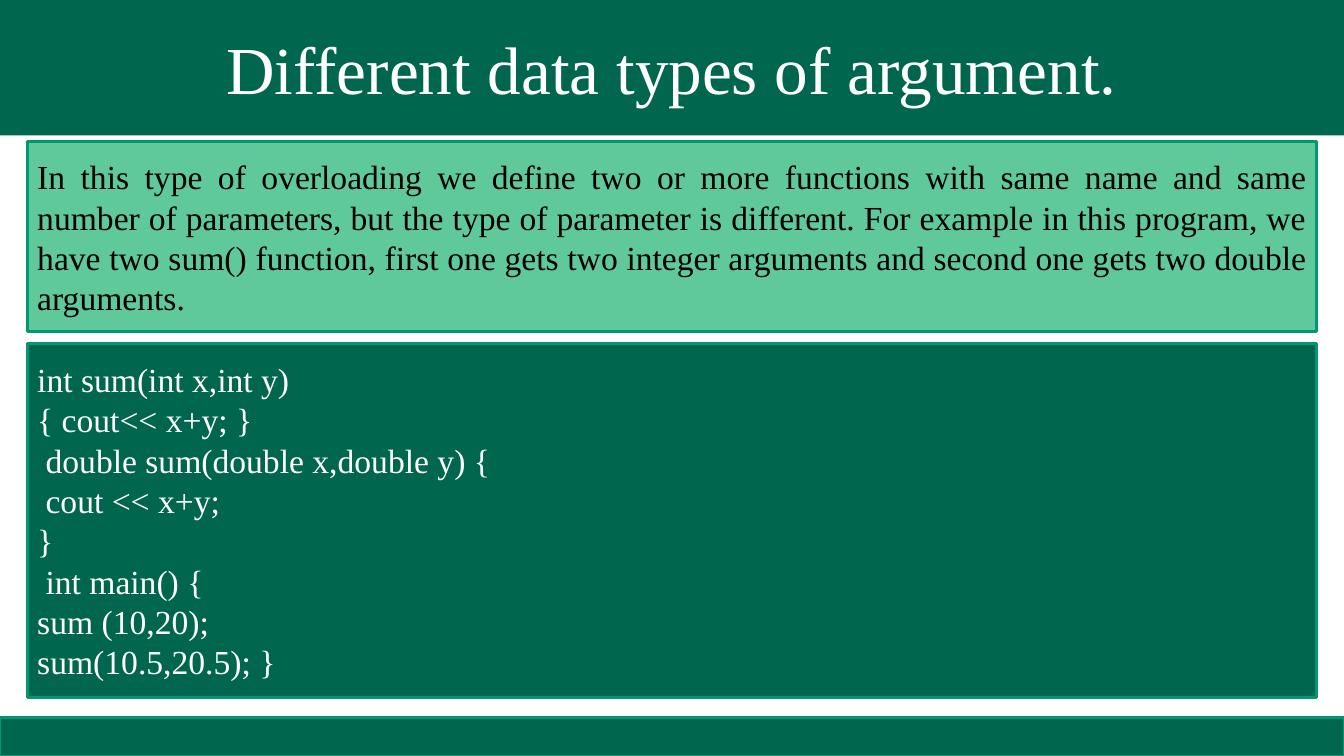
"""Build a slide on overloading functions by argument type."""
from dataclasses import dataclass

from pptx import Presentation
from pptx.dml.color import RGBColor
from pptx.enum.shapes import MSO_SHAPE
from pptx.enum.text import MSO_ANCHOR, PP_ALIGN
from pptx.util import Emu, Pt

TITLE = ["Different data types of argument."]
EXPLANATION = [
    "In this type of overloading we define two or more functions with same name "
    "and same number of parameters, but the type of parameter is different. "
    "For example in this program, we have two sum() function, first one gets two "
    "integer arguments and second one gets two double arguments."
]
CODE = [
    "int sum(int x,int y)",
    "{ cout<< x+y; }",
    " double sum(double x,double y) {",
    " cout << x+y;",
    "}",
    " int main() {",
    "sum (10,20);",
    "sum(10.5,20.5); }",
]


@dataclass(frozen=True)
class Theme:
    """Colours, font and type sizes."""
    dark: RGBColor = RGBColor.from_string("00664D")
    light: RGBColor = RGBColor.from_string("60C99C")
    border: RGBColor = RGBColor.from_string("009771")
    white: RGBColor = RGBColor.from_string("FFFFFF")
    black: RGBColor = RGBColor.from_string("000000")
    font: str = "Times New Roman"
    title_size: int = 48
    body_size: int = 24
    border_width: int = 2


THEME = Theme()
PX = 9525
WIDTH, HEIGHT = 1280, 720
MARGIN = 26
PANEL_WIDTH = WIDTH - 2 * MARGIN
TITLE_HEIGHT, FOOTER_HEIGHT = 129, 37


def add_band(slide, box, fill, lines=(), color=THEME.white,
             size=THEME.body_size, align=PP_ALIGN.LEFT, bordered=True):
    """Add a filled rectangle holding one paragraph per line."""
    band = slide.shapes.add_shape(MSO_SHAPE.RECTANGLE, *(Emu(v * PX) for v in box))
    band.shadow.inherit = False
    band.fill.solid()
    band.fill.fore_color.rgb = fill
    if bordered:
        band.line.color.rgb = THEME.border
        band.line.width = Pt(THEME.border_width)
    else:
        band.line.fill.background()
    frame = band.text_frame
    frame.word_wrap = True
    frame.vertical_anchor = MSO_ANCHOR.MIDDLE
    for index, line in enumerate(lines):
        paragraph = frame.add_paragraph() if index else frame.paragraphs[0]
        paragraph.text = line
        paragraph.alignment = align
        paragraph.font.name = THEME.font
        paragraph.font.size = Pt(size)
        paragraph.font.color.rgb = color


def main():
    """Compose and save the slide."""
    deck = Presentation()
    deck.slide_width, deck.slide_height = Emu(WIDTH * PX), Emu(HEIGHT * PX)
    slide = deck.slides.add_slide(deck.slide_layouts[6])
    add_band(slide, (0, 0, WIDTH, TITLE_HEIGHT), THEME.dark, TITLE,
             size=THEME.title_size, align=PP_ALIGN.CENTER, bordered=False)
    add_band(slide, (0, HEIGHT - FOOTER_HEIGHT, WIDTH, FOOTER_HEIGHT), THEME.dark)
    add_band(slide, (MARGIN, 135, PANEL_WIDTH, 181), THEME.light, EXPLANATION,
             color=THEME.black, align=PP_ALIGN.JUSTIFY)
    add_band(slide, (MARGIN, 327, PANEL_WIDTH, 337), THEME.dark, CODE)
    deck.save("out.pptx")


if __name__ == "__main__":
    main()
